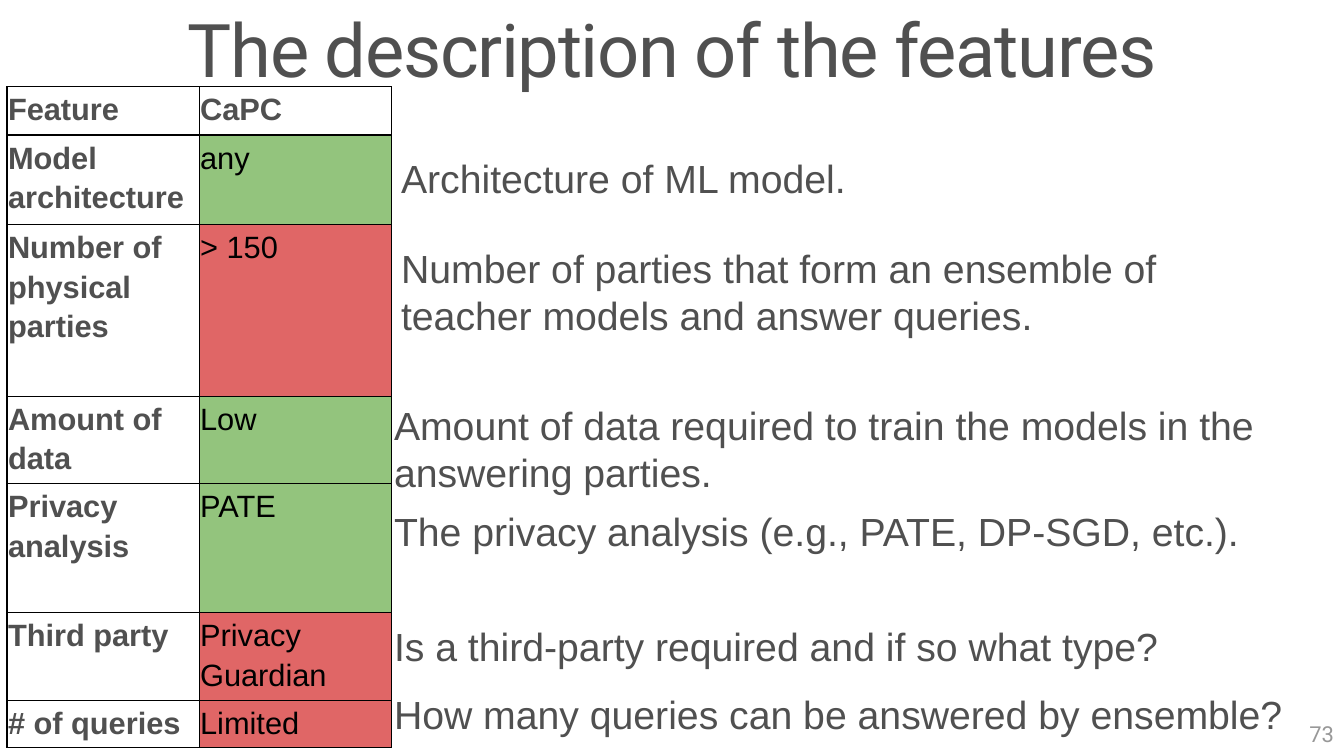
"""Build the slide that describes the features of CaPC."""
from lxml.etree import SubElement
from pptx import Presentation
from pptx.dml.color import RGBColor
from pptx.enum.text import MSO_ANCHOR as Anchor, MSO_AUTO_SIZE as Auto, PP_ALIGN as Align
from pptx.oxml.ns import qn
from pptx.util import Inches, Pt

GRAY, PALE, BLACK = "505050", "989898", "000000"
GREEN, RED = "93C47D", "E06666"
TITLE = "The description of the features"
ROWS = [
    (0.48, "Feature", "CaPC", None),
    (0.89, "Model architecture", "any", GREEN),
    (1.7, "Number of physical parties", "> 150", RED),
    (0.87, "Amount of data", "Low", GREEN),
    (1.28, "Privacy analysis", "PATE", GREEN),
    (0.87, "Third party", "Privacy Guardian", RED),
    (0.47, "# of queries", "Limited", RED),
]
NOTES = [
    ((3.88, 1.48, 9.24, 0.57), "Architecture of ML model."),
    ((3.88, 2.37, 7.73, 1.04),
     "Number of parties that form an ensemble of teacher models and answer queries."),
    ((3.81, 3.93, 9.24, 1.04),
     "Amount of data required to train the models in the answering parties."),
    ((3.81, 4.98, 9.24, 0.57), "The privacy analysis (e.g., PATE, DP-SGD, etc.)."),
    ((3.81, 6.12, 9.24, 0.57), "Is a third-party required and if so what type?"),
    ((3.81, 6.8, 9.53, 0.57), "How many queries can be answered by ensemble?"),
]
NUMBER = "73"


def color(code):
    return RGBColor.from_string(code)


def write(frame, text, hue, align=Align.LEFT, space=1.0, **font):
    para = frame.paragraphs[0]
    para.alignment, para.line_spacing = align, space
    run = para.add_run()
    run.text = text
    for key, value in font.items():
        setattr(run.font, key, value)
    run.font.color.rgb = color(hue)
    return run


def add_text(slide, box, text, hue, **style):
    frame = slide.shapes.add_textbox(*map(Inches, box)).text_frame
    frame.word_wrap = True
    write(frame, text, hue, **style)


def add_title(slide):
    title = slide.shapes.title
    box = dict(left=0, top=0.07, width=13.33, height=0.92)
    for key, value in box.items():
        setattr(title, key, Inches(value))
    frame = title.text_frame
    form = dict(word_wrap=True, auto_size=Auto.NONE, vertical_anchor=Anchor.MIDDLE)
    for key, value in form.items():
        setattr(frame, key, value)
    run = write(frame, TITLE, GRAY, Align.CENTER, 0.9, name="Roboto", size=Pt(52.9))
    run.font._element.set("spc", "-100")


def add_borders(cell):
    props = cell._tc.get_or_add_tcPr()
    for side in ("lnL", "lnR", "lnT", "lnB"):
        line = SubElement(props, qn(f"a:{side}"), w=str(Pt(1)))
        fill = SubElement(line, qn("a:solidFill"))
        SubElement(fill, qn("a:srgbClr"), val=BLACK)


def fill_cell(cell, text, hue, bold, back):
    for side in ("left", "right", "top", "bottom"):
        setattr(cell, f"margin_{side}", Inches(0.01))
    add_borders(cell)
    if back:
        cell.fill.solid()
        cell.fill.fore_color.rgb = color(back)
    else:
        cell.fill.background()
    write(cell.text_frame, text, hue, space=1.15, name="Arial", size=Pt(22), bold=bold)


def add_grid(slide):
    high = sum(row[0] for row in ROWS)
    box = map(Inches, (0.07, 0.86, 3.81, high))
    table = slide.shapes.add_table(len(ROWS), 2, *box).table
    table.first_row = table.horz_banding = False
    for row, (tall, name, value, back) in zip(table.rows, ROWS):
        row.height = Inches(tall)
        left, right = row.cells
        fill_cell(left, name, GRAY, True, None)
        fill_cell(right, value, BLACK if back else GRAY, not back, back)


def main():
    deck = Presentation()
    deck.slide_width, deck.slide_height = Inches(13.33), Inches(7.5)
    slide = deck.slides.add_slide(deck.slide_layouts[5])
    add_title(slide)
    add_grid(slide)
    for box, text in NOTES:
        add_text(slide, box, text, GRAY, name="Arial", size=Pt(28))
    add_text(slide, (10.33, 7.1, 3, 0.4), NUMBER, PALE, align=Align.RIGHT,
             name="Roboto", size=Pt(15.7))
    deck.save("out.pptx")


if __name__ == "__main__":
    main()
